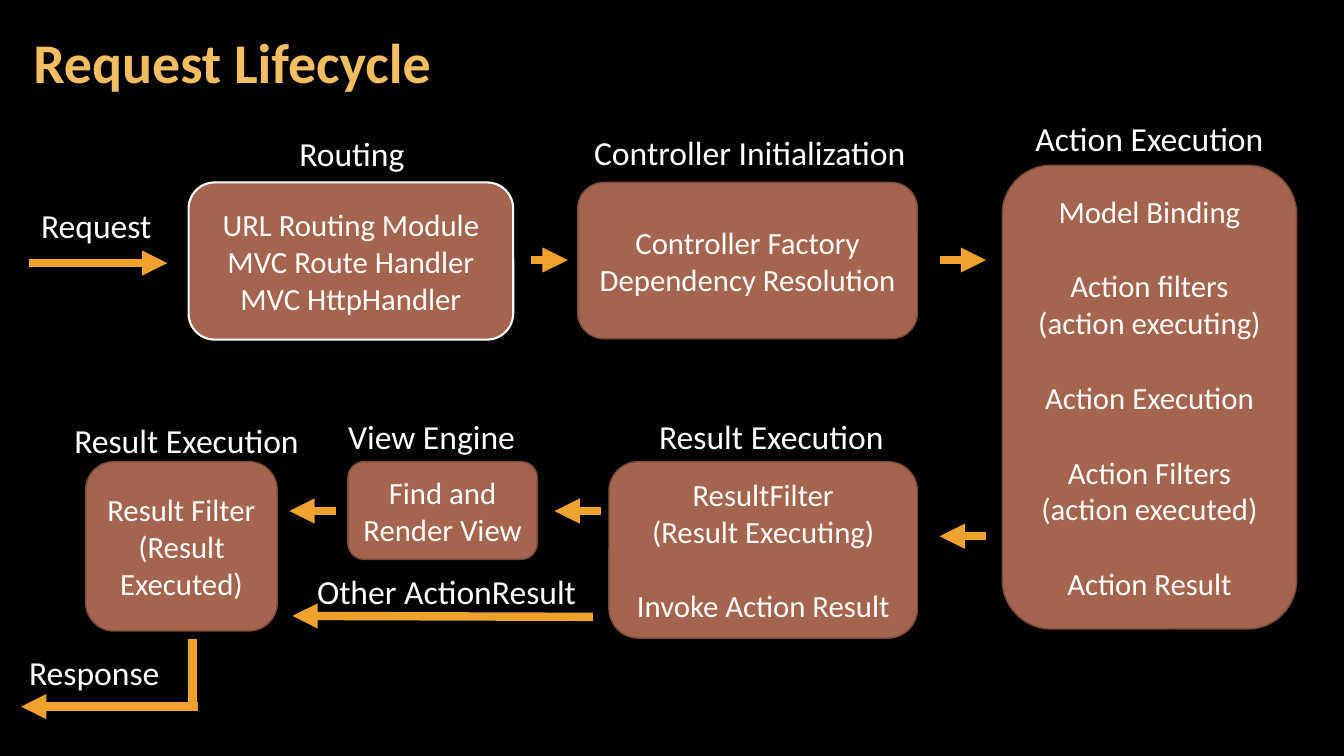
from dataclasses import dataclass

from lxml.etree import SubElement
from pptx import Presentation
from pptx.dml.color import RGBColor
from pptx.enum.shapes import MSO_CONNECTOR as Connector, MSO_SHAPE as Shape
from pptx.enum.text import MSO_ANCHOR as Anchor, MSO_AUTO_SIZE as AutoSize, PP_ALIGN as Align
from pptx.oxml.ns import qn
from pptx.util import Inches, Pt


@dataclass(frozen=True)
class Theme:
    font: str = "Calibri"
    background: str = "000000"
    title: str = "F3BE60"
    text: str = "FFFFFF"
    stage: str = "A5644E"
    edge: str = "7A4A3A"
    highlight: str = "FFFFFF"
    arrow: str = "F0A22E"
    title_size: float = 40
    label_size: float = 24
    step_size: float = 22
    step_gap: float = 26.9
    arrow_width: float = 6


THEME = Theme()
LABEL_HEIGHT = 0.5

STAGES = [
    ((1.87, 1.81, 3.22, 1.56), "Routing", (0.01, -0.54, 1.26),
     [["URL Routing Module", "MVC Route Handler", "MVC HttpHandler"]], (THEME.highlight, 1.5)),
    ((5.73, 1.81, 3.37, 1.55), "Controller Initialization", (0.02, -0.55, 3.32),
     [["Controller Factory", "Dependency Resolution"]], (THEME.edge, 1)),
    ((9.94, 1.64, 2.92, 4.6), "Action Execution", (0, -0.52, 2.49),
     [["Model Binding"], ["Action filters", "(action executing)"], ["Action Execution"],
      ["Action Filters", "(action executed)"], ["Action Result"]], (THEME.edge, 1)),
    ((6.04, 4.58, 3.06, 1.75), "Result Execution", (0.08, -0.5, 2.45),
     [["ResultFilter", "(Result Executing)"], ["Invoke Action Result"]], (THEME.edge, 1)),
    ((3.45, 4.58, 1.88, 0.97), "View Engine", (-0.11, -0.5, 1.87),
     [["Find and Render View"]], (THEME.edge, 1)),
    ((0.85, 4.58, 1.9, 1.68), "Result Execution", (0.05, -0.46, 2.45),
     [["Result Filter", "(Result Executed)"]], (THEME.edge, 1)),
]

FLOWS = [
    ((5.27, 2.58), (5.63, 2.58)),
    ((9.32, 2.58), (9.78, 2.58)),
    ((9.78, 5.32), (9.32, 5.32)),
    ((5.96, 5.07), (5.5, 5.07)),
    ((3.33, 5.07), (2.87, 5.07)),
]


def color(value):
    return RGBColor.from_string(value)


def style(font, size, tint, bold=False):
    for name, value in {"name": THEME.font, "size": Pt(size), "bold": bold}.items():
        setattr(font, name, value)
    font.color.rgb = color(tint)


def add_line(shapes, start, end, head=True):
    line = shapes.add_connector(Connector.STRAIGHT, *map(Inches, (*start, *end)))
    line.line.color.rgb = color(THEME.arrow)
    line.line.width = Pt(THEME.arrow_width)
    if head:
        SubElement(line.line._get_or_add_ln(), qn("a:tailEnd"), type="triangle")
    SubElement(line._element.spPr, qn("a:effectLst"))


def add_label(slide, box, words):
    label = slide.shapes.add_textbox(*map(Inches, box))
    frame = label.text_frame
    frame.word_wrap = False
    frame.auto_size = AutoSize.SHAPE_TO_FIT_TEXT
    line = frame.paragraphs[0]
    line.alignment = Align.CENTER
    run = line.add_run()
    run.text = words
    style(run.font, THEME.label_size, THEME.text)


def add_title(slide, box, words):
    title = slide.shapes.title
    for name, value in zip(("left", "top", "width", "height"), box):
        setattr(title, name, Inches(value))
    frame = title.text_frame
    margins = {"margin_left": 0.12, "margin_right": 0.12, "margin_top": 0.04, "margin_bottom": 0.04}
    for name, value in margins.items():
        setattr(frame, name, Inches(value))
    frame.vertical_anchor = Anchor.MIDDLE
    frame.word_wrap = True
    frame.auto_size = AutoSize.NONE
    line = frame.paragraphs[0]
    line.alignment = Align.LEFT
    line.line_spacing = 0.9
    run = line.add_run()
    run.text = words
    style(run.font, THEME.title_size, THEME.title, bold=True)


def add_stage(slide, box, name, name_place, groups, edge):
    left, top, width, _ = box
    stage = slide.shapes.add_shape(Shape.ROUNDED_RECTANGLE, *map(Inches, box))
    stage.shadow.inherit = False
    stage.fill.solid()
    stage.fill.fore_color.rgb = color(THEME.stage)
    edge_color, edge_width = edge
    stage.line.color.rgb = color(edge_color)
    stage.line.width = Pt(edge_width)
    frame = stage.text_frame
    frame.word_wrap = True
    frame.vertical_anchor = Anchor.MIDDLE
    steps = [(step, group > 0 and order == 0)
             for group, members in enumerate(groups) for order, step in enumerate(members)]
    for index, (step, opens_group) in enumerate(steps):
        line = frame.add_paragraph() if index else frame.paragraphs[0]
        line.alignment = Align.CENTER
        if opens_group:
            line.space_before = Pt(THEME.step_gap)
        run = line.add_run()
        run.text = step
        style(run.font, THEME.step_size, THEME.text)
    shift_x, shift_y, name_width = name_place
    name_left = left + (width - name_width) / 2 + shift_x
    add_label(slide, (name_left, top + shift_y, name_width, LABEL_HEIGHT), name)


def add_request(slide, left, top):
    add_label(slide, (left + 0.01, top, 1.31, LABEL_HEIGHT), "Request")
    add_line(slide.shapes, (left, top + 0.63), (left + 1.37, top + 0.63))


def add_other_result(slide, left, top):
    add_label(slide, (left + 0.13, top, 2.8, LABEL_HEIGHT), "Other ActionResult")
    add_line(slide.shapes, (left + 2.98, top + 0.51), (left, top + 0.5))


def add_response(slide, left, top):
    add_label(slide, (left, top + 0.08, 1.51, LABEL_HEIGHT), "Response")
    elbow = slide.shapes.add_group_shape().shapes
    base = top + 0.67
    add_line(elbow, (left + 1.78, base), (left + 0.03, base))
    add_line(elbow, (left + 1.73, base), (left + 1.73, top), head=False)


def main():
    deck = Presentation()
    deck.slide_width, deck.slide_height = Inches(13.33), Inches(7.5)
    slide = deck.slides.add_slide(deck.slide_layouts.get_by_name("Title Only"))
    slide.background.fill.solid()
    slide.background.fill.fore_color.rgb = color(THEME.background)
    add_title(slide, (0.21, 0.04, 10.47, 1.21), "Request Lifecycle")
    for stage in STAGES:
        add_stage(slide, *stage)
    for start, end in FLOWS:
        add_line(slide.shapes, start, end)
    add_request(slide, 0.29, 1.98)
    add_other_result(slide, 2.9, 5.61)
    add_response(slide, 0.18, 6.34)
    deck.save("out.pptx")


if __name__ == "__main__":
    main()
